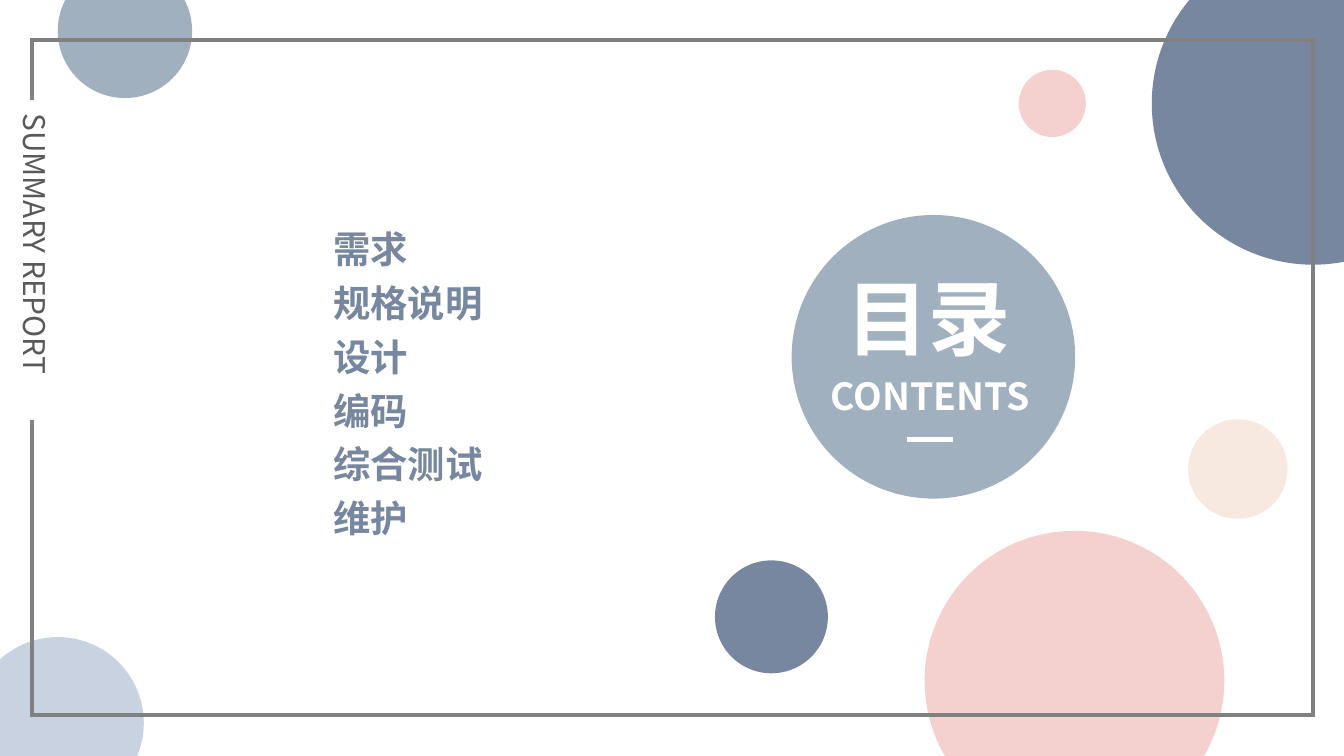
from lxml.etree import SubElement
from pptx import Presentation
from pptx.dml.color import RGBColor
from pptx.enum.shapes import MSO_CONNECTOR, MSO_SHAPE
from pptx.enum.text import MSO_ANCHOR, MSO_AUTO_SIZE, PP_ALIGN
from pptx.oxml.ns import qn
from pptx.util import Inches, Pt

FONT = "Noto Sans CJK SC"
WHITE = RGBColor(0xFF, 0xFF, 0xFF)
GREY_BLUE = RGBColor(0xA0, 0xB0, 0xBF)
SLATE = RGBColor(0x77, 0x87, 0xA0)
PINK = RGBColor(0xF4, 0xD1, 0xCF)
CREAM = RGBColor(0xF7, 0xE9, 0xE0)
PALE_BLUE = RGBColor(0xC9, 0xD2, 0xE1)
FRAME_GREY = RGBColor(0x80, 0x80, 0x80)
TEXT_GREY = RGBColor(0x59, 0x59, 0x59)

SLIDE_WIDTH = Inches(10)
SLIDE_HEIGHT = Inches(10 * 9 / 16)

# left, top, diameter, colour
CIRCLES = [
    (5.89, 1.6, 2.11, GREY_BLUE),
    (8.57, -0.43, 2.4, SLATE),
    (6.88, 3.95, 2.23, PINK),
    (8.84, 3.12, 0.74, CREAM),
    (0.43, -0.27, 1, GREY_BLUE),
    (-0.21, 4.74, 1.28, PALE_BLUE),
    (5.32, 4.17, 0.84, SLATE),
]
SMALL_CIRCLE = (7.58, 0.52, 0.5, PINK)
CHAPTERS = ["需求", "规格说明", "设计", "编码", "综合测试", "维护"]


def add_circle(slide, left, top, diameter, colour):
    circle = slide.shapes.add_shape(
        MSO_SHAPE.OVAL, Inches(left), Inches(top), Inches(diameter), Inches(diameter))
    circle.shadow.inherit = False
    circle.fill.solid()
    circle.fill.fore_color.rgb = colour
    circle.line.fill.background()


def add_frame(slide):
    """Unfilled border with square corners."""
    frame = slide.shapes.add_shape(
        MSO_SHAPE.RECTANGLE, Inches(0.24), Inches(0.3), Inches(9.53), Inches(5.02))
    frame.shadow.inherit = False
    frame.fill.background()
    frame.line.color.rgb = FRAME_GREY
    frame.line.width = Pt(2.25)
    outline = frame.element.spPr.find(qn("a:ln"))
    SubElement(outline, qn("a:miter")).set("lim", "800000")


def write_text(shape, lines, size, colour, bold=True, align=PP_ALIGN.LEFT, spacing=None):
    """Fill a shape with one paragraph per line, unwrapped and set from the top."""
    text_frame = shape.text_frame
    text_frame.word_wrap = False
    text_frame.auto_size = MSO_AUTO_SIZE.SHAPE_TO_FIT_TEXT
    text_frame.vertical_anchor = MSO_ANCHOR.TOP
    for index, line in enumerate(lines):
        paragraph = text_frame.add_paragraph() if index else text_frame.paragraphs[0]
        paragraph.alignment = align
        if spacing:
            paragraph.line_spacing = spacing
        run = paragraph.add_run()
        run.text = line
        run.font.size = Pt(size)
        run.font.bold = bold
        run.font.color.rgb = colour
        run.font.name = FONT
        east_asian = SubElement(run.font._element, qn("a:ea"))
        east_asian.set("typeface", FONT)


def add_text(slide, left, top, width, height, lines, size, colour, **style):
    box = slide.shapes.add_textbox(
        Inches(left), Inches(top), Inches(width), Inches(height))
    write_text(box, lines, size, colour, **style)
    return box


def add_side_label(slide):
    """Vertical label whose white fill interrupts the frame."""
    label = add_text(slide, -0.93, 1.75, 2.38, 0.37, ["SUMMARY REPORT"],
                     16, TEXT_GREY, bold=False)
    label.rotation = 90
    label.fill.solid()
    label.fill.fore_color.rgb = WHITE


def place_title(slide):
    title = slide.shapes.title
    title.left, title.top = Inches(6.2), Inches(1.94)
    title.width, title.height = Inches(1.44), Inches(0.84)
    write_text(title, ["目录"], 44, WHITE)
    # The placeholder starts at the back, so bring it in front of the circles.
    title.element.getparent().append(title.element)


def add_underline(slide):
    line = slide.shapes.add_connector(
        MSO_CONNECTOR.STRAIGHT, Inches(6.75), Inches(3.27), Inches(7.09), Inches(3.27))
    line.line.color.rgb = WHITE
    line.line.width = Pt(2.25)
    SubElement(line.element.spPr, qn("a:effectLst"))


def main():
    presentation = Presentation()
    presentation.slide_width = SLIDE_WIDTH
    presentation.slide_height = SLIDE_HEIGHT
    slide = presentation.slides.add_slide(presentation.slide_layouts[5])

    for circle in CIRCLES:
        add_circle(slide, *circle)
    add_frame(slide)
    add_side_label(slide)
    add_circle(slide, *SMALL_CIRCLE)
    add_text(slide, 2.38, 1.57, 1.31, 2.52, CHAPTERS, 20, SLATE, spacing=1.2)
    place_title(slide)
    add_text(slide, 6.03, 2.73, 1.78, 0.44, ["CONTENTS"], 20, WHITE,
             align=PP_ALIGN.CENTER)
    add_underline(slide)

    presentation.save("out.pptx")


if __name__ == "__main__":
    main()
